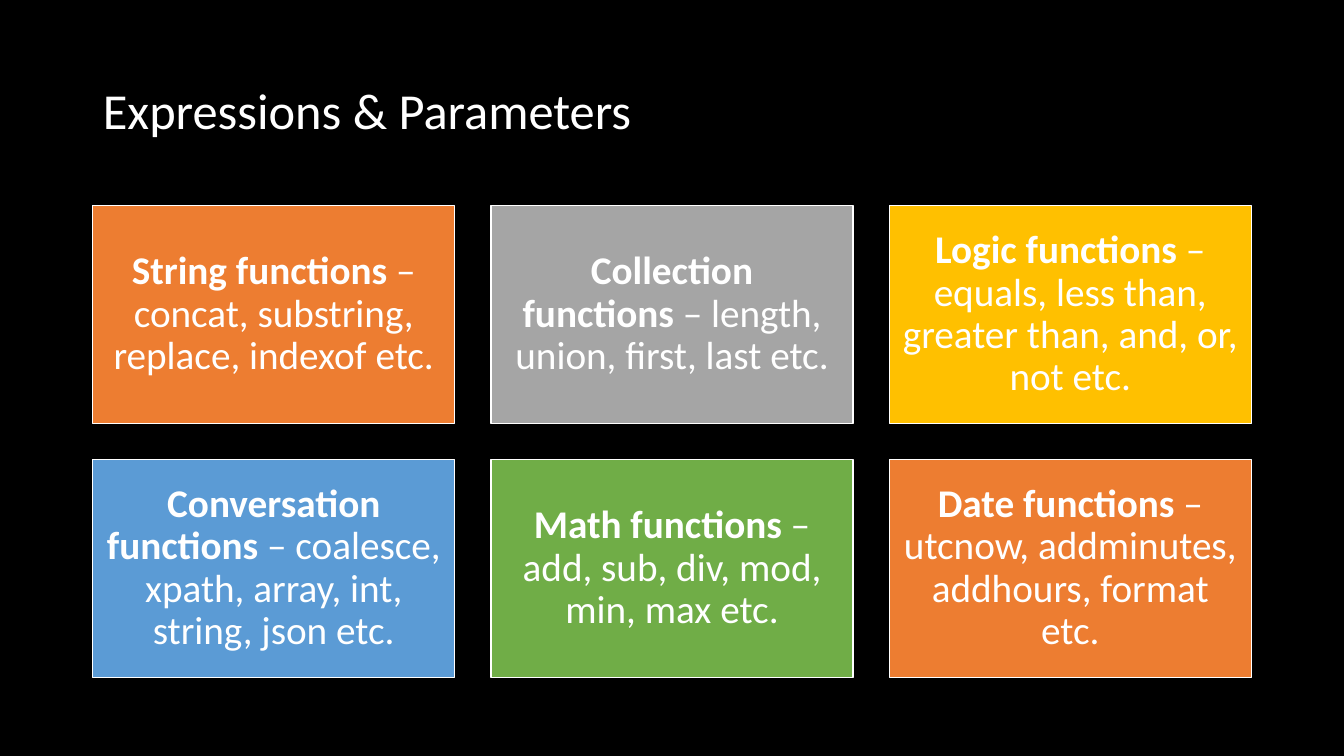
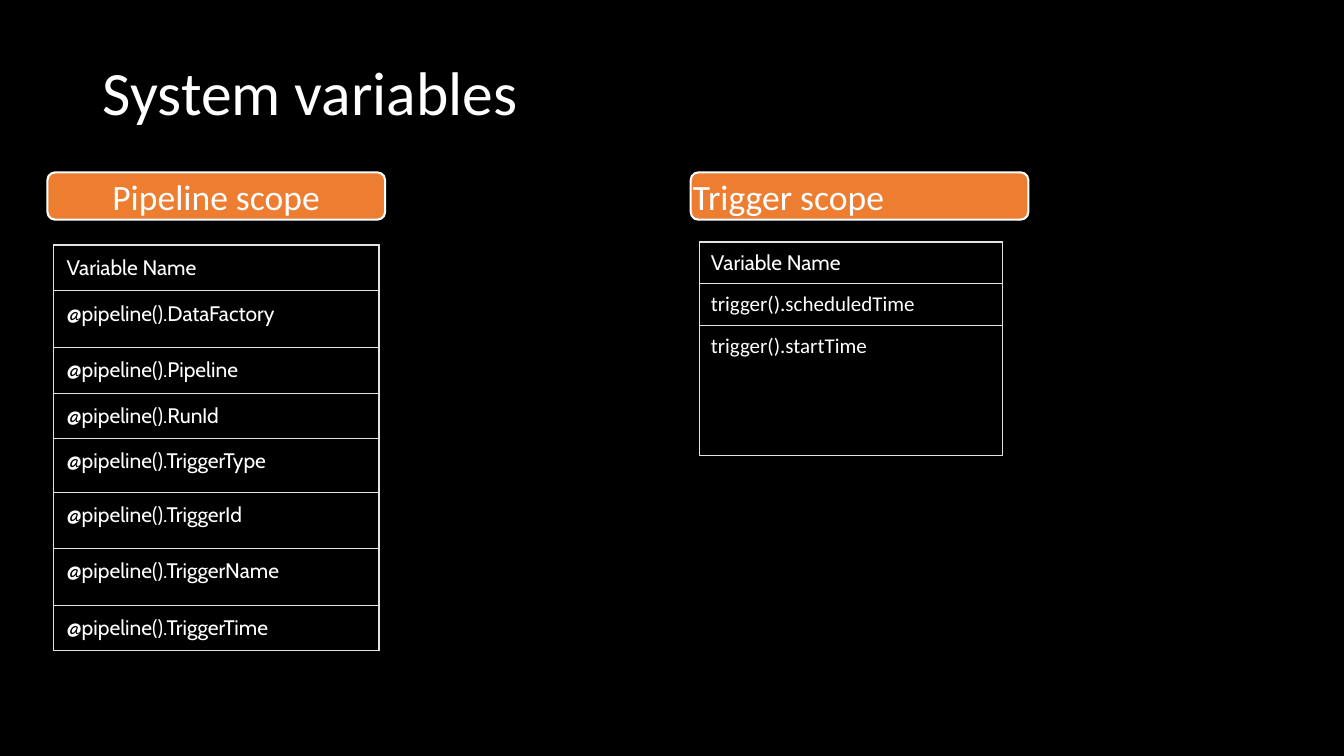
from dataclasses import dataclass

from lxml.etree import SubElement
from pptx import Presentation
from pptx.dml.color import RGBColor
from pptx.enum.shapes import MSO_SHAPE as SHAPE
from pptx.enum.text import MSO_ANCHOR as ANCHOR, PP_ALIGN as ALIGN
from pptx.oxml.ns import qn
from pptx.util import Inches, Pt

NBSP = chr(160)  # keeps the dash on the line of the heading


@dataclass(frozen=True)
class Theme:
    # Colours
    back: str = "000000"
    text: str = "FFFFFF"
    grid: str = "E3E3E3"
    orange: str = "ED7D31"
    grey: str = "A5A5A5"
    gold: str = "FFC000"
    blue: str = "5B9BD5"
    green: str = "70AD47"
    # Fonts and sizes
    font: str = "Calibri"
    code_font: str = "Cabin"
    title: float = 44
    small_title: float = 36
    card: float = 28
    label: float = 25.4
    cell: float = 15


T = Theme()


def rgb(color):
    return RGBColor.from_string(color)


def add_text(p, text, size, font=T.font, color=T.text, bold=False):
    r = p.add_run()
    r.text = text
    r.font.size = Pt(size)
    r.font.name = font
    r.font.bold = bold
    r.font.color.rgb = rgb(color)
    return r


class Deck:
    """Holds the presentation, its shared style and the current slide."""

    def __init__(self):
        self.prs = Presentation()
        self.prs.slide_width = Inches(13.33)
        self.prs.slide_height = Inches(7.5)
        fill = self.prs.slide_master.background.fill
        fill.solid()
        fill.fore_color.rgb = rgb(T.back)
        self.s = None

    def slide(self, title, size=T.title, height=1.1):
        self.s = self.prs.slides.add_slide(self.prs.slide_layouts[5])
        sp = self.s.shapes.title
        sp.left, sp.top = Inches(0.92), Inches(0.4)
        sp.width, sp.height = Inches(11.5), Inches(height)
        tf = sp.text_frame
        tf.vertical_anchor = ANCHOR.MIDDLE
        p = tf.paragraphs[0]
        p.alignment = ALIGN.LEFT
        p.line_spacing = 0.9
        add_text(p, title, size)

    def box(self, kind, x, y, w, h, fill, line, inset, align):
        """Draw a filled shape and return its first paragraph."""
        sp = self.s.shapes.add_shape(kind, Inches(x), Inches(y), Inches(w), Inches(h))
        sp.shadow.inherit = False
        sp.fill.solid()
        sp.fill.fore_color.rgb = rgb(fill)
        sp.line.color.rgb = rgb(T.text)
        sp.line.width = Pt(line)
        tf = sp.text_frame
        tf.word_wrap = True
        tf.vertical_anchor = ANCHOR.MIDDLE
        tf.margin_left = tf.margin_right = Inches(inset)
        tf.margin_top = tf.margin_bottom = Inches(inset)
        p = tf.paragraphs[0]
        p.alignment = align
        return p

    def card(self, x, y, fill, head, body):
        p = self.box(SHAPE.RECTANGLE, x, y, 3.59, 2.16, fill, 1, 0.12, ALIGN.CENTER)
        p.line_spacing = 0.9
        add_text(p, head, T.card, bold=True)
        add_text(p, f"{NBSP}– {body}", T.card)

    def label(self, x, text, align):
        p = self.box(SHAPE.ROUNDED_RECTANGLE, x, 1.71, 3.35, 0.47, T.orange, 1.5, 0, align)
        add_text(p, text, T.label)

    def table(self, x, y, w, names, heights, inset, rule, font):
        """Draw a one-column table; rule is the width of its inner lines."""
        rows = ["Variable Name"] + names
        last = len(rows) - 1
        frame = self.s.shapes.add_table(
            len(rows), 1, Inches(x), Inches(y), Inches(w), Inches(sum(heights)))
        tbl = frame.table
        tbl.first_row = tbl.horz_banding = False
        for i, (name, height) in enumerate(zip(rows, heights)):
            tbl.rows[i].height = Inches(height)
            cell = tbl.cell(i, 0)
            cell.margin_left = cell.margin_right = Inches(inset[0])
            cell.margin_top = cell.margin_bottom = Inches(inset[1])
            cell.vertical_anchor = ANCHOR.TOP if i else ANCHOR.BOTTOM
            add_text(cell.text_frame.paragraphs[0], name, T.cell,
                     font=font if i else T.code_font)
            self.borders(cell, L=1, R=1, T=rule if i else 1, B=rule if i < last else 1)
            cell.fill.background()

    @staticmethod
    def borders(cell, **widths):
        tc_pr = cell._tc.get_or_add_tcPr()
        for side, width in widths.items():
            ln = SubElement(tc_pr, qn(f"a:ln{side}"), w=str(int(Pt(width))))
            fill = SubElement(ln, qn("a:solidFill"))
            SubElement(fill, qn("a:srgbClr"), val=T.grid)


def expressions(d):
    d.slide("Expressions & Parameters", size=T.small_title, height=1.45)
    cards = [
        (T.orange, "String functions", "concat, substring, replace, indexof etc."),
        (T.grey, "Collection functions", "length, union, first, last etc."),
        (T.gold, "Logic functions", "equals, less than, greater than, and, or, not etc."),
        (T.blue, "Conversation functions", "coalesce, xpath, array, int, string, json etc."),
        (T.green, "Math functions", "add, sub, div, mod, min, max etc."),
        (T.orange, "Date functions", "utcnow, addminutes, addhours, format etc."),
    ]
    # Grid of three columns
    for i, card in enumerate(cards):
        row, col = divmod(i, 3)
        d.card(0.92 + 3.95 * col, 2.04 + 2.52 * row, *card)


def system_variables(d):
    d.slide("System variables")
    # Pipeline scope
    fields = ["DataFactory", "Pipeline", "RunId", "TriggerType",
              "TriggerId", "TriggerName", "TriggerTime"]
    d.table(0.53, 2.43, 3.23, [f"@pipeline().{f}" for f in fields],
            [0.45, 0.56, 0.45, 0.45, 0.53, 0.56, 0.56, 0.45],
            inset=(0.13, 0.1), rule=0.38, font=T.code_font)
    d.label(0.47, "Pipeline scope", ALIGN.CENTER)
    # Trigger scope
    d.label(6.85, "Trigger scope", ALIGN.LEFT)
    d.table(6.94, 2.4, 3, ["trigger().scheduledTime", "trigger().startTime"],
            [0.41, 0.42, 1.29], inset=(0.11, 0.08), rule=0.75, font=T.font)


def main():
    d = Deck()
    expressions(d)
    system_variables(d)
    d.prs.save("out.pptx")


if __name__ == "__main__":
    main()
